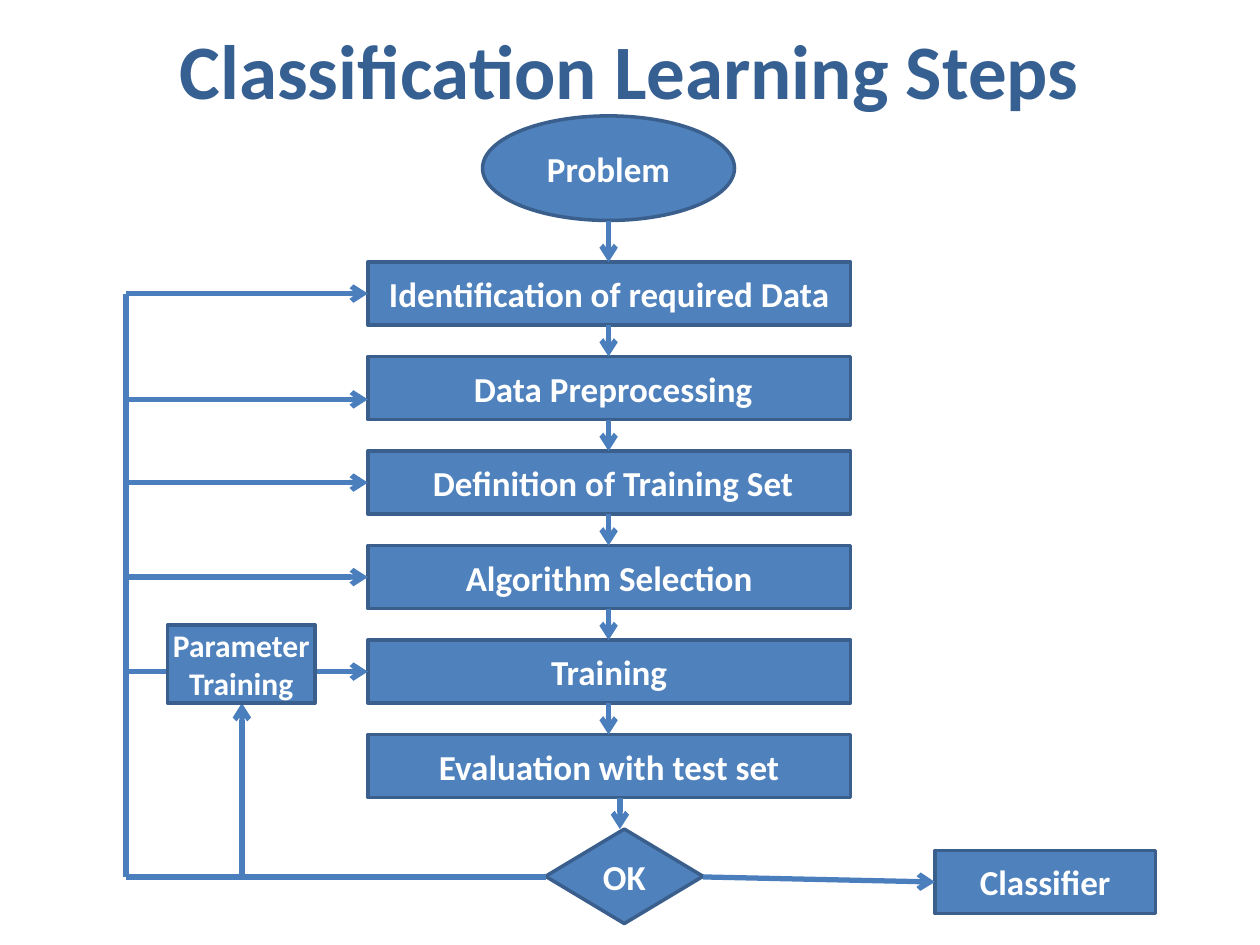
"""Build the Classification Learning Steps flowchart slide."""
import pptx
import pptx.util
import pptx.dml.color
import pptx.enum.shapes
import pptx.enum.text
import pptx.oxml.ns
import lxml.etree

Inches, Pt = pptx.util.Inches, pptx.util.Pt
SHAPE = pptx.enum.shapes.MSO_SHAPE
FONT = "Calibri"
COLORS = {"title": "376092", "fill": "4F81BD", "border": "3A5F8C",
          "flow": "4B7EBC", "text": "FFFFFF"}

TITLE = "Classification Learning Steps"
STEPS = ["Identification of required Data", " Data Preprocessing",
         " Definition of Training Set", "Algorithm Selection",
         "Training", "Evaluation with test set"]
STEP_LEFT, STEP_TOP, STEP_WIDTH, STEP_HEIGHT, STEP_PITCH = 2.92, 2.08, 3.83, 0.5, 0.75
AXIS, LOOP_X, LOOP_Y = 4.83, 1, 6.96
PARAMETER_X, PARAMETER_LEFT, PARAMETER_RIGHT = 1.92, 1.33, 2.5
TRAINING_Y = 5.33
FEEDBACK_YS = [2.33, 3.17, 3.83, 4.58]

step_tops = [STEP_TOP + i * STEP_PITCH for i in range(len(STEPS))]
nodes = [("Problem", SHAPE.OVAL, (3.83, 0.92, 2, 0.83))]
nodes += [(step, SHAPE.RECTANGLE, (STEP_LEFT, top, STEP_WIDTH, STEP_HEIGHT))
          for step, top in zip(STEPS, step_tops)]
nodes += [("Classifier", SHAPE.RECTANGLE, (7.42, 6.75, 1.75, 0.5)),
          ("OK", SHAPE.DIAMOND, (4.33, 6.58, 1.25, 0.75))]

arrows = [((5.58, LOOP_Y), (7.42, 7)),
          ((PARAMETER_RIGHT, TRAINING_Y), (STEP_LEFT, TRAINING_Y)),
          ((PARAMETER_X, LOOP_Y), (PARAMETER_X, 5.58)),
          ((AXIS, 1.75), (AXIS, STEP_TOP)),
          ((4.92, 6.33), (4.92, 6.58))]
arrows += [((LOOP_X, y), (STEP_LEFT, y)) for y in FEEDBACK_YS]
arrows += [((AXIS, top + STEP_HEIGHT), (AXIS, top + STEP_PITCH))
           for top in step_tops[:-1]]
plain_lines = [((4.33, LOOP_Y), (LOOP_X, LOOP_Y)),
               ((LOOP_X, LOOP_Y), (LOOP_X, FEEDBACK_YS[0])),
               ((LOOP_X, TRAINING_Y), (PARAMETER_LEFT, TRAINING_Y))]


def color(name):
    return pptx.dml.color.RGBColor.from_string(COLORS[name])


def write(frame, text, size, color_name):
    frame.word_wrap = True
    frame.vertical_anchor = pptx.enum.text.MSO_ANCHOR.MIDDLE
    paragraph = frame.paragraphs[0]
    paragraph.alignment = pptx.enum.text.PP_ALIGN.CENTER
    run = paragraph.add_run()
    run.text = text
    run.font.name, run.font.size, run.font.bold = FONT, Pt(size), True
    run.font.color.rgb = color(color_name)


def add_node(text, kind, box, size=20):
    node = slide.shapes.add_shape(kind, *map(Inches, box))
    node.shadow.inherit = False
    node.fill.solid()
    node.fill.fore_color.rgb = color("fill")
    node.line.color.rgb = color("border")
    node.line.width = Pt(2)
    write(node.text_frame, text, size, "text")
    return node


def add_flow(start, end, arrow):
    flow = slide.shapes.add_connector(
        pptx.enum.shapes.MSO_CONNECTOR.STRAIGHT, *map(Inches, start + end))
    flow.line.color.rgb = color("flow")
    flow.line.width = Pt(3)
    qn = pptx.oxml.ns.qn
    if arrow:
        lxml.etree.SubElement(flow.line._get_or_add_ln(), qn("a:tailEnd"), type="arrow")
    lxml.etree.SubElement(flow._element.spPr, qn("a:effectLst"))


presentation = pptx.Presentation()
presentation.slide_width, presentation.slide_height = Inches(10), Inches(7.5)
slide = presentation.slides.add_slide(presentation.slide_layouts[5])

title = slide.shapes.title
title.left, title.top, title.width, title.height = map(Inches, (0.5, -0.08, 9, 1.25))
write(title.text_frame, TITLE, 44, "title")

for text, kind, box in nodes:
    add_node(text, kind, box)
for start, end in plain_lines:
    add_flow(start, end, False)
for start, end in arrows:
    add_flow(start, end, True)

parameter = add_node("Parameter Training", SHAPE.RECTANGLE,
                     (PARAMETER_LEFT, 4.96, PARAMETER_RIGHT - PARAMETER_LEFT, 0.62), 18)
parameter.text_frame.margin_left = parameter.text_frame.margin_right = 0

presentation.save("out.pptx")
